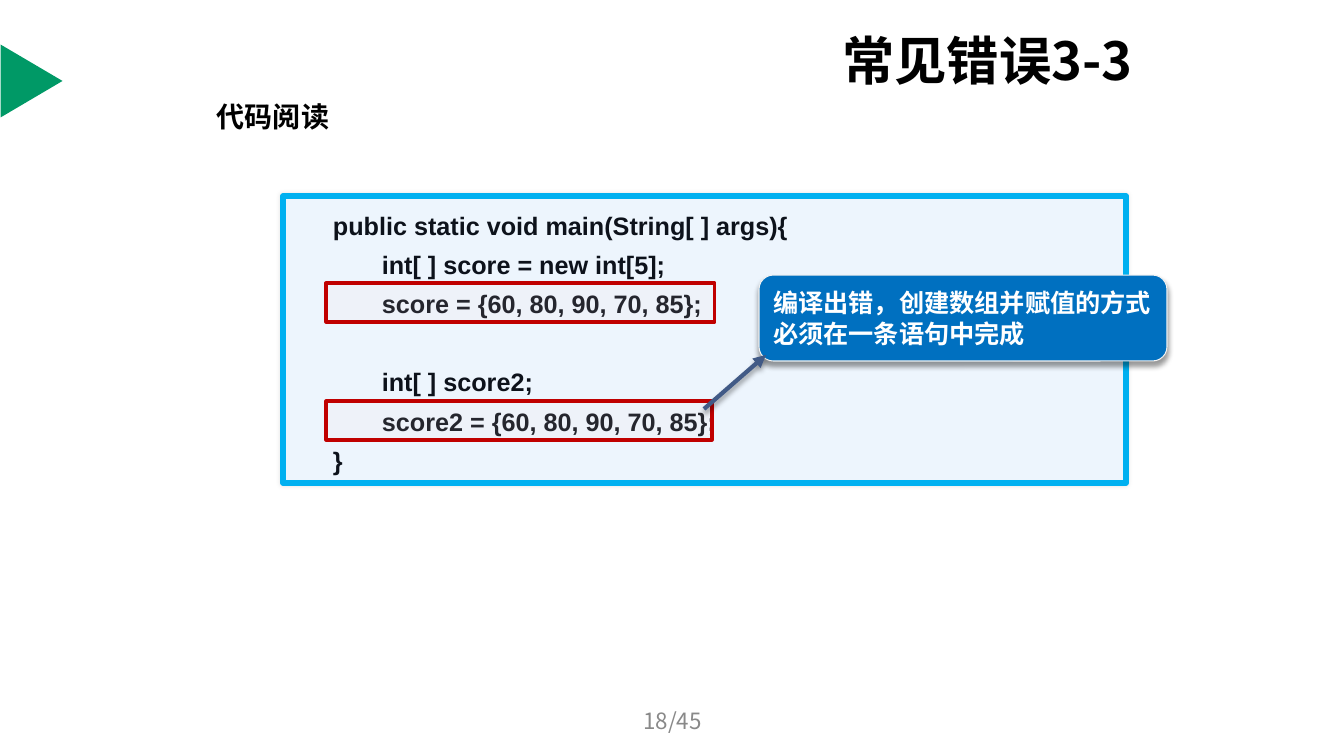
from lxml.etree import SubElement
from pptx import Presentation
from pptx.dml.color import RGBColor
from pptx.enum.shapes import MSO_CONNECTOR, MSO_SHAPE
from pptx.enum.text import MSO_ANCHOR, MSO_AUTO_SIZE, PP_ALIGN
from pptx.oxml.ns import qn
from pptx.util import Emu, Pt

EMU_PER_INCH = 914400
PX_PER_INCH = 100.8

BLACK = RGBColor(0x00, 0x00, 0x00)
WHITE = RGBColor(0xFF, 0xFF, 0xFF)
GREEN = RGBColor(0x00, 0x99, 0x66)
CODE_INK = RGBColor(0x0D, 0x12, 0x1B)
CODE_FILL = RGBColor(0xED, 0xF5, 0xFD)
CODE_BORDER = RGBColor(0x00, 0xB0, 0xF0)
CALLOUT_FILL = RGBColor(0x00, 0x70, 0xC0)
CALLOUT_BORDER = RGBColor(0xF2, 0xF2, 0xF2)
MARK_FILL = RGBColor(0xFF, 0xDD, 0xDD)
MARK_BORDER = RGBColor(0xC0, 0x00, 0x00)
ARROW = RGBColor(0x41, 0x5A, 0x86)
GRAY = RGBColor(0x89, 0x89, 0x89)

CJK_FONT = "Noto Sans CJK SC"
CODE_PITCH = 28

CODE_BLOCKS = [
    [
        "public static void main(String[ ] args){",
        "       int[ ] score = new int[5];",
        "       score = {60, 80, 90, 70, 85};",
    ],
    [
        "       int[ ] score2;",
        "       score2 = {60, 80, 90, 70, 85};",
        "}",
    ],
]


def px(value):
    return Emu(round(value * EMU_PER_INCH / PX_PER_INCH))


def box(*lengths):
    return [px(length) for length in lengths]


def add_shadow(properties, opacity, blur, distance, direction):
    """Give a shape's or a run's properties an outer shadow, in points and degrees."""
    effects = properties.find(qn("a:effectLst"))
    if effects is None:
        effects = SubElement(properties, qn("a:effectLst"))
    shadow = SubElement(effects, qn("a:outerShdw"), blurRad=str(Pt(blur)),
                        dist=str(Pt(distance)), dir=str(direction * 60000),
                        rotWithShape="0")
    color = SubElement(shadow, qn("a:srgbClr"), val=str(BLACK))
    SubElement(color, qn("a:alpha"), val=str(opacity * 1000))


def write_text(frame, lines, size, color, font=CJK_FONT, bold=True,
               align=PP_ALIGN.LEFT, anchor=MSO_ANCHOR.TOP, wrap=True, pitch=None):
    frame.word_wrap = wrap
    frame.auto_size = MSO_AUTO_SIZE.NONE
    frame.vertical_anchor = anchor
    for index, line in enumerate(lines):
        paragraph = frame.add_paragraph() if index else frame.paragraphs[0]
        paragraph.alignment = align
        if pitch:
            paragraph.line_spacing = Pt(pitch)
        run = paragraph.add_run()
        run.text = line
        run.font.size = Pt(size)
        run.font.bold = bold
        run.font.color.rgb = color
        run.font.name = font
        SubElement(run.font._element, qn("a:ea"), typeface=CJK_FONT)


def add_label(slide, bounds, text, size, color, **text_format):
    label = slide.shapes.add_textbox(*box(*bounds))
    write_text(label.text_frame, [text], size, color, **text_format)
    return label


def add_filled_shape(slide, kind, bounds, fill, border=None, width=0):
    shape = slide.shapes.add_shape(kind, *box(*bounds))
    shape.shadow.inherit = False
    shape.fill.solid()
    shape.fill.fore_color.rgb = fill
    if border is None:
        shape.line.fill.background()
    else:
        shape.line.color.rgb = border
        shape.line.width = Pt(width)
    return shape


def add_code_panel(slide):
    panel = add_filled_shape(slide, MSO_SHAPE.ROUNDED_RECTANGLE, (283, 196, 843, 287),
                             CODE_FILL, CODE_BORDER, 4)
    panel.adjustments[0] = 0
    add_shadow(panel._element.spPr, 10, 3, 0, 0)
    frame = panel.text_frame
    frame.margin_left = px(50)
    frame.margin_right = 0
    lines = [line for block in CODE_BLOCKS for line in block]
    write_text(frame, lines, 18, CODE_INK, font="Arial", pitch=CODE_PITCH)
    second_block = frame.paragraphs[len(CODE_BLOCKS[0])]
    second_block.space_before = Pt(CODE_PITCH)


def add_callout(slide):
    callout = add_filled_shape(slide, MSO_SHAPE.ROUNDED_RECTANGULAR_CALLOUT,
                               (759, 275, 408, 86), CALLOUT_FILL, CALLOUT_BORDER, 0.75)
    callout.adjustments[0] = -0.5
    callout.adjustments[1] = -0.02
    add_shadow(callout._element.spPr, 40, 4, 3, 90)
    lines = ["编译出错，创建数组并赋值的方式", "必须在一条语句中完成"]
    write_text(callout.text_frame, lines, 18, WHITE, font="Arial",
               anchor=MSO_ANCHOR.MIDDLE, wrap=False)


def add_error_mark(slide, top, width):
    mark = add_filled_shape(slide, MSO_SHAPE.RECTANGLE, (326, top, width, 39),
                            MARK_FILL, MARK_BORDER, 2.25)
    fill_color = mark._element.spPr.find(qn("a:solidFill"))[0]
    SubElement(fill_color, qn("a:alpha"), val="10000")


def add_arrow(slide, start, end):
    arrow = slide.shapes.add_connector(MSO_CONNECTOR.STRAIGHT, *box(*start, *end))
    arrow.line.color.rgb = ARROW
    arrow.line.width = Pt(3)
    SubElement(arrow.line._get_or_add_ln(), qn("a:tailEnd"), type="triangle")
    add_shadow(arrow._element.spPr, 40, 4, 3, 90)


def set_title(slide, text):
    title = slide.shapes.title
    title.left, title.top, title.width, title.height = box(832, 31, 325, 57)
    write_text(title.text_frame, [text], 37.4, BLACK, anchor=MSO_ANCHOR.MIDDLE)


def add_subtitle(slide, text):
    subtitle = add_label(slide, (207, 95, 133, 44), text, 20, BLACK, wrap=False)
    properties = subtitle.text_frame.paragraphs[0].runs[0].font._element
    effects = properties.makeelement(qn("a:effectLst"))
    properties.find(qn("a:solidFill")).addnext(effects)
    add_shadow(properties, 40, 3, 2, 45)


def main():
    presentation = Presentation()
    presentation.slide_width, presentation.slide_height = box(1344, 756)
    slide = presentation.slides.add_slide(presentation.slide_layouts[5])

    triangle = add_filled_shape(slide, MSO_SHAPE.ISOSCELES_TRIANGLE,
                                (-5, 50, 73, 62), GREEN)
    triangle.rotation = 90
    add_code_panel(slide)
    set_title(slide, "常见错误3-3")
    add_callout(slide)
    for top, width in [(283, 389), (401, 386)]:
        add_error_mark(slide, top, width)
    add_arrow(slide, (704, 409), (766, 355))
    add_subtitle(slide, "代码阅读")
    add_label(slide, (460, 701, 425, 40), "18/45", 16, GRAY, bold=False,
              align=PP_ALIGN.CENTER, anchor=MSO_ANCHOR.MIDDLE)

    presentation.save("out.pptx")


if __name__ == "__main__":
    main()
